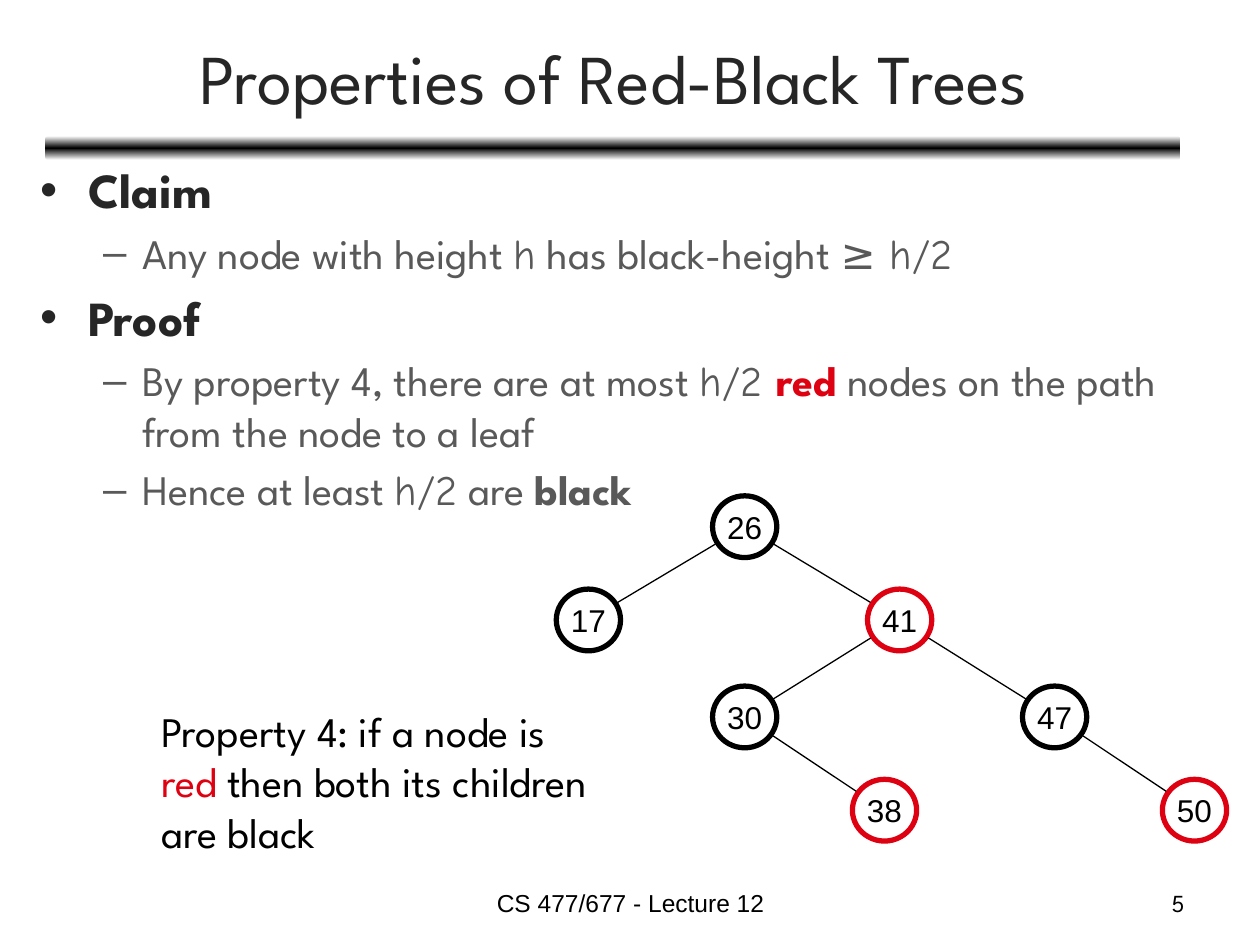
from copy import deepcopy
from math import hypot

from pptx import Presentation
from pptx.dml.color import RGBColor
from pptx.enum.shapes import MSO_CONNECTOR, MSO_SHAPE
from pptx.enum.text import MSO_ANCHOR as ANCHOR, MSO_AUTO_SIZE, PP_ALIGN as ALIGN
from pptx.oxml.ns import qn
from pptx.util import Inches, Pt

BLACK, RED, DARK, GREY = "000000", "DD0111", "262626", "595959"
SANS, MATH, PLAIN = "League Spartan", "Comic Neue", "Arial"


def paint(color, value):
    color.rgb = RGBColor.from_string(value)


def write(p, size, *runs):
    """Add runs given as (text, font, colour, bold) to a paragraph."""
    for text, font, color, bold in runs:
        r = p.add_run()
        r.text = text
        r.font.size, r.font.name, r.font.bold = Pt(size), font, bold
        paint(r.font.color, color)


prs = Presentation()
prs.slide_width, prs.slide_height = Inches(10), Inches(7.5)
slide = prs.slides.add_slide(prs.slide_layouts[6])
shapes = slide.shapes

# Bar under the title, fading from black to white at both edges
bar = shapes.add_shape(MSO_SHAPE.ROUNDED_RECTANGLE, Inches(0.36), Inches(1.08),
                       Inches(9.01), Inches(0.19))
bar.shadow.inherit = False
bar.line.fill.background()
bar.fill.gradient()
bar.fill.gradient_angle = 90
stops = bar._element.spPr.find(".//" + qn("a:gsLst"))
stops.append(deepcopy(stops[0]))
for stop, position, color in zip(bar.fill.gradient_stops, (0, 0.5, 1),
                                 ("FFFFFF", BLACK, "FFFFFF")):
    stop.position = position
    paint(stop.color, color)

# Title, footer and slide number
for box, text, size, font, color, align, anchor in (
    ((0.37, 0.11, 9, 0.99), "Properties of Red-Black Trees", 40, SANS, DARK,
     ALIGN.CENTER, ANCHOR.MIDDLE),
    ((3.42, 7, 3.17, 0.35), "CS 477/677 - Lecture 12", 14, PLAIN, BLACK,
     ALIGN.CENTER, ANCHOR.TOP),
    ((7.17, 7, 2.33, 0.35), "5", 14, SANS, BLACK, ALIGN.RIGHT, ANCHOR.TOP),
):
    tf = shapes.add_textbox(*map(Inches, box)).text_frame
    tf.word_wrap, tf.vertical_anchor = True, anchor
    tf.paragraphs[0].alignment = align
    write(tf.paragraphs[0], size, (text, font, color, False))

# Claim and proof
levels = (("•", 0.38, -0.38, 28), ("–", 0.81, -0.31, 24))
outline = (
    (0, [("Claim", SANS, DARK, True)]),
    (1, [("Any node with height ", SANS, GREY, False), ("h", MATH, GREY, False),
         (" has black-height ", SANS, GREY, False), ("≥ h/2", MATH, GREY, False)]),
    (0, [("Proof", SANS, DARK, True)]),
    (1, [("By property 4, there are at most ", SANS, GREY, False),
         ("h/2 ", MATH, GREY, False), ("red", SANS, RED, True),
         (" nodes on the path from the node to a leaf", SANS, GREY, False)]),
    (1, [("Hence at least ", SANS, GREY, False), ("h/2", MATH, GREY, False),
         (" are ", SANS, GREY, False), ("black", SANS, GREY, True)]),
)
tf = shapes.add_textbox(Inches(0.22), Inches(1.22), Inches(9.51), Inches(3.31)).text_frame
tf.word_wrap = True
for i, (level, runs) in enumerate(outline):
    p = tf.add_paragraph() if i else tf.paragraphs[0]
    bullet, margin, indent, size = levels[level]
    p.level = level
    pPr = p._p.get_or_add_pPr()
    pPr.set("marL", str(Inches(margin)))
    pPr.set("indent", str(Inches(indent)))
    pPr.append(pPr.makeelement(qn("a:buFont"), {"typeface": PLAIN}))
    pPr.append(pPr.makeelement(qn("a:buChar"), {"char": bullet}))
    if i:
        p.space_before = Pt(0.2 * size)
    write(p, size, *runs)

# Tree: node centres, colours and parents
rows = (4.18, 4.92, 5.69, 6.43)
node_w, node_h, reach = 0.51, 0.49, 0.27
nodes = {
    "26": (5.91, rows[0], BLACK, None),
    "17": (4.67, rows[1], BLACK, "26"),
    "41": (7.14, rows[1], RED, "26"),
    "30": (5.91, rows[2], BLACK, "41"),
    "47": (8.37, rows[2], BLACK, "41"),
    "38": (7.02, rows[3], RED, "30"),
    "50": (9.48, rows[3], RED, "47"),
}
for key, (x, y, color, parent) in nodes.items():
    sp = shapes.add_shape(MSO_SHAPE.OVAL, Inches(x - node_w / 2), Inches(y - node_h / 2),
                          Inches(node_w), Inches(node_h))
    sp.shadow.inherit = False
    sp.fill.background()
    sp.line.width = Pt(3)
    paint(sp.line.color, color)
    tf = sp.text_frame
    tf.word_wrap, tf.vertical_anchor = False, ANCHOR.MIDDLE
    tf.paragraphs[0].alignment = ALIGN.CENTER
    write(tf.paragraphs[0], 18, (key, PLAIN, BLACK, False))
    if parent:
        px, py = nodes[parent][:2]
        share = reach / hypot(x - px, y - py)
        dx, dy = share * (x - px), share * (y - py)
        edge = shapes.add_connector(MSO_CONNECTOR.STRAIGHT, Inches(px + dx), Inches(py + dy),
                                    Inches(x - dx), Inches(y - dy))
        edge.line.width = Pt(0.75)
        paint(edge.line.color, BLACK)
        spPr = edge._element.spPr
        spPr.append(spPr.makeelement(qn("a:effectLst"), {}))

# Reminder of property 4
tf = shapes.add_textbox(Inches(0.68), Inches(5.55), Inches(4.24), Inches(1.31)).text_frame
tf.word_wrap, tf.auto_size = True, MSO_AUTO_SIZE.SHAPE_TO_FIT_TEXT
p = tf.paragraphs[0]
p.level = 1
pPr = p._p.get_or_add_pPr()
pPr.set("marL", str(Inches(0.5)))
pPr.set("indent", "0")
write(p, 24, ("Property 4: if a node is ", SANS, BLACK, False), ("red", SANS, RED, False),
      (" then both its children are black", SANS, BLACK, False))

prs.save("out.pptx")
